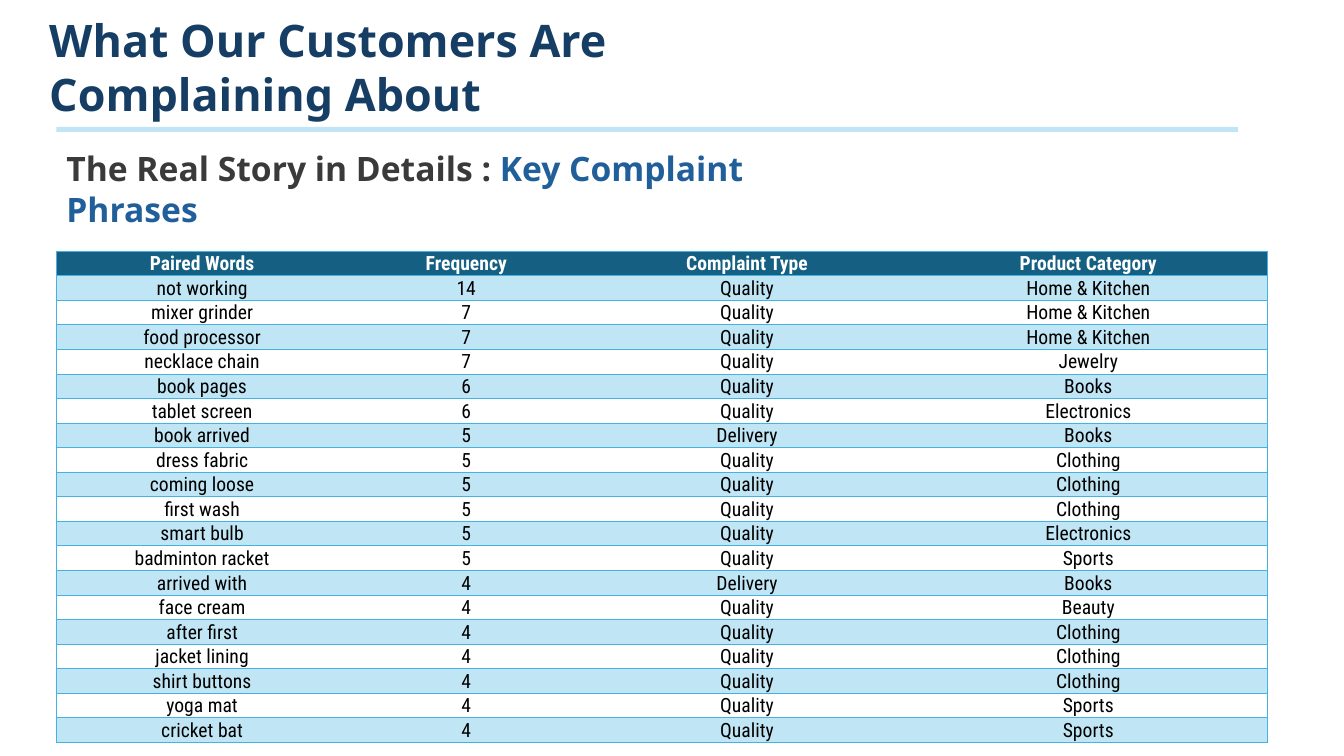
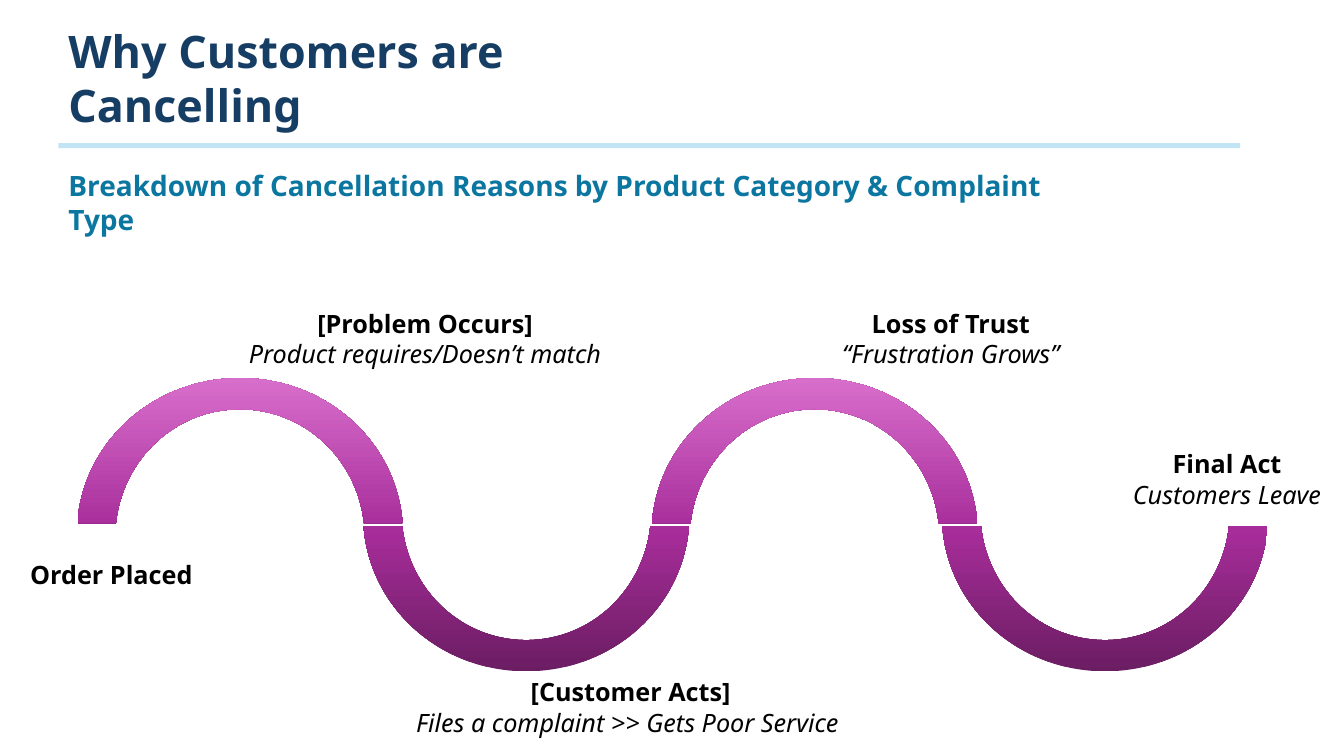
"""Build two slides on customer complaints and cancellations."""
from dataclasses import dataclass

from lxml.etree import SubElement
from pptx import Presentation
from pptx.dml.color import RGBColor
from pptx.enum.shapes import MSO_SHAPE
from pptx.enum.text import MSO_ANCHOR, MSO_AUTO_SIZE, PP_ALIGN
from pptx.oxml.ns import qn
from pptx.slide import Slide
from pptx.table import _Cell
from pptx.util import Inches, Pt

HEADING_FONT = "Noto Sans"
TABLE_FONT = "Roboto Condensed"
NAVY, CHARCOAL, BLUE, TEAL = "163E64", "3A3A3A", "215F9A", "0B76A0"
BLACK, WHITE, PALE_BLUE = "000000", "FFFFFF", "C1E5F5"
HEADER_FILL, STRIPE_FILL, GRID_LINE = "156082", "C0E6F5", "44B3E1"
WAVE_STOPS = ((0, "6B1D62"), (48, "A72D9A"), (100, "D86ECC"))
LINE_HEIGHTS = {32: 38.4, 24: 28.8, 20: 24.4, 18: 22}

COLUMN_WIDTHS = (2.89, 2.35, 3.22, 3.55)
ROW_HEIGHT, TABLE_HEIGHT = 0.21, 4.88
HEADER = ("Paired Words", "Frequency", "Complaint Type", "Product Category")
COMPLAINTS = (
    ("not working", "14", "Quality", "Home & Kitchen"),
    ("mixer grinder", "7", "Quality", "Home & Kitchen"),
    ("food processor", "7", "Quality", "Home & Kitchen"),
    ("necklace chain", "7", "Quality", "Jewelry"),
    ("book pages", "6", "Quality", "Books"),
    ("tablet screen", "6", "Quality", "Electronics"),
    ("book arrived", "5", "Delivery", "Books"),
    ("dress fabric", "5", "Quality", "Clothing"),
    ("coming loose", "5", "Quality", "Clothing"),
    ("first wash", "5", "Quality", "Clothing"),
    ("smart bulb", "5", "Quality", "Electronics"),
    ("badminton racket", "5", "Quality", "Sports"),
    ("arrived with", "4", "Delivery", "Books"),
    ("face cream", "4", "Quality", "Beauty"),
    ("after first", "4", "Quality", "Clothing"),
    ("jacket lining", "4", "Quality", "Clothing"),
    ("shirt buttons", "4", "Quality", "Clothing"),
    ("yoga mat", "4", "Quality", "Sports"),
    ("cricket bat", "4", "Quality", "Sports"),
)

Point = tuple[float, float]
HALF_ARCH = (
    (0, 0), (0.84, 0), (1.53, 0.61), (1.61, 1.4), (1.61, 1.44),
    (1.23, 1.44), (1.16, 0.8), (0.64, 0.31), (0, 0.31),
)
ARCH_SEGMENTS = "CLLCCLLC"


@dataclass(frozen=True)
class Span:
    """A stretch of text in one style."""
    text: str
    color: str = BLACK
    bold: bool = True
    italic: bool = False


@dataclass(frozen=True)
class Stage:
    """A label on the customer journey."""
    left: float
    top: float
    width: float
    heading: str
    detail: str = ""


@dataclass(frozen=True)
class Arch:
    """One half ring of the wave; direction is 1 for a crest, -1 for a trough."""
    center: float
    peak: float
    direction: int


STAGES = (
    Stage(0.2, 5.49, 3.02, "Order Placed"),
    Stage(2.17, 3, 4.09, "[Problem Occurs]", "Product requires/Doesn’t match"),
    Stage(3.99, 6.66, 4.53, "[Customer Acts]", "Files a complaint >> Gets Poor Service "),
    Stage(7.92, 3, 3.02, "Loss of Trust", "“Frustration Grows”"),
    Stage(10.66, 4.39, 3.02, "Final Act", "Customers Leave"),
)
ARCHES = (
    Arch(10.96, 6.66, -1),
    Arch(5.22, 6.66, -1),
    Arch(2.38, 3.75, 1),
    Arch(8.08, 3.75, 1),
)


def rgb(value: str) -> RGBColor:
    """Turn a hex string into a colour."""
    return RGBColor.from_string(value)


def add_text(page: Slide, left: float, top: float, width: float, height: float,
             size: int, lines: list[list[Span]],
             align: PP_ALIGN = PP_ALIGN.LEFT) -> None:
    """Add a wrapping text box with one paragraph per line of spans."""
    box = page.shapes.add_textbox(Inches(left), Inches(top), Inches(width), Inches(height))
    frame = box.text_frame
    frame.word_wrap = True
    frame.auto_size = MSO_AUTO_SIZE.SHAPE_TO_FIT_TEXT
    for index, spans in enumerate(lines):
        para = frame.add_paragraph() if index else frame.paragraphs[0]
        para.alignment = align
        para.line_spacing = Pt(LINE_HEIGHTS[size])
        for span in spans:
            run = para.add_run()
            run.text = span.text
            run.font.name = HEADING_FONT
            run.font.size = Pt(size)
            run.font.bold = span.bold
            run.font.italic = span.italic
            run.font.color.rgb = rgb(span.color)


def add_title(page: Slide, left: float, top: float, lines: list[str]) -> None:
    """Add the slide title."""
    add_text(page, left, top, 7.8, 1.18, 32, [[Span(line, NAVY)] for line in lines])


def add_rule(page: Slide, left: float, top: float) -> None:
    """Add the pale band under the title."""
    rule = page.shapes.add_shape(
        MSO_SHAPE.RECTANGLE, Inches(left), Inches(top), Inches(11.72), Inches(0.05))
    rule.shadow.inherit = False
    rule.fill.solid()
    rule.fill.fore_color.rgb = rgb(PALE_BLUE)
    rule.line.fill.background()


def set_borders(cell: _Cell, visible: set[str]) -> None:
    """Draw the named cell sides and clear the others."""
    properties = cell._tc.get_or_add_tcPr()
    for side in ("lnL", "lnR", "lnT", "lnB"):
        line = SubElement(properties, qn(f"a:{side}"), w=str(Pt(0.5)))
        if side in visible:
            fill = SubElement(line, qn("a:solidFill"))
            SubElement(fill, qn("a:srgbClr"), val=GRID_LINE)
        else:
            SubElement(line, qn("a:noFill"))


def fill_cell(cell: _Cell, text: str, row: int) -> None:
    """Write and style one table cell."""
    if row == 0 or row % 2:
        cell.fill.solid()
        cell.fill.fore_color.rgb = rgb(STRIPE_FILL if row else HEADER_FILL)
    else:
        cell.fill.background()
    cell.vertical_anchor = MSO_ANCHOR.BOTTOM
    cell.margin_left = cell.margin_right = cell.margin_top = Inches(0.01)
    cell.margin_bottom = Inches(0)
    para = cell.text_frame.paragraphs[0]
    para.text = text
    para.alignment = PP_ALIGN.CENTER
    font = para.runs[0].font
    font.name = TABLE_FONT
    font.size = Pt(14)
    font.bold = row == 0
    font.color.rgb = rgb(BLACK if row else WHITE)


def add_complaint_table(page: Slide) -> None:
    """Add the table of complaint phrases."""
    rows = (HEADER, *COMPLAINTS)
    holder = page.shapes.add_table(
        len(rows), len(HEADER), Inches(0.56), Inches(2.49),
        Inches(sum(COLUMN_WIDTHS)), Inches(TABLE_HEIGHT))
    table = holder.table
    table.first_row = table.horz_banding = False
    for column, width in zip(table.columns, COLUMN_WIDTHS):
        column.width = Inches(width)
    last = len(HEADER) - 1
    for row, values in enumerate(rows):
        table.rows[row].height = Inches(ROW_HEIGHT)
        for column, text in enumerate(values):
            cell = table.cell(row, column)
            sides = {"lnT", "lnB"} | {0: {"lnL"}, last: {"lnR"}}.get(column, set())
            set_borders(cell, sides)
            fill_cell(cell, text, row)
    holder.height = Inches(TABLE_HEIGHT)


def arch_outline(arch: Arch) -> list[Point]:
    """Return the control points of a half ring in slide lengths."""
    mirrored = tuple((-x, y) for x, y in reversed(HALF_ARCH[:-1]))
    return [(Inches(arch.center + x), Inches(arch.peak + arch.direction * y))
            for x, y in HALF_ARCH + mirrored]


def add_wave(page: Slide) -> None:
    """Add the wave as one curved outline, shaded from bottom to top."""
    outlines = [arch_outline(arch) for arch in ARCHES]
    builder = page.shapes.build_freeform(*outlines[0][0], scale=1.0)
    for index, outline in enumerate(outlines):
        if index:
            builder.move_to(*outline[0])
        builder.add_line_segments(outline[1:], close=True)
    wave = builder.convert_to_shape()
    steps = iter(list(wave._element.iter(qn("a:lnTo"))))
    for segment in ARCH_SEGMENTS * len(ARCHES):
        first = next(steps)
        if segment == "C":
            first.tag = qn("a:cubicBezTo")
            for _ in range(2):
                step = next(steps)
                first.append(step[0])
                step.getparent().remove(step)
    wave.shadow.inherit = False
    wave.line.fill.background()
    wave.fill.gradient()
    wave.fill.gradient_angle = 90
    stops = wave._element.spPr.find(qn("a:gradFill")).find(qn("a:gsLst"))
    for stop in list(stops):
        stops.remove(stop)
    for percent, color in WAVE_STOPS:
        stop = SubElement(stops, qn("a:gs"), pos=str(percent * 1000))
        SubElement(stop, qn("a:srgbClr"), val=color)


def add_stage(page: Slide, stage: Stage) -> None:
    """Add a stage heading and its detail, if any."""
    lines = [[Span(stage.heading)]]
    if stage.detail:
        lines.append([Span(stage.detail, bold=False, italic=True)])
    align = PP_ALIGN.CENTER if stage.detail else PP_ALIGN.LEFT
    height = 0.71 if stage.detail else 0.4
    add_text(page, stage.left, stage.top, stage.width, height, 18, lines, align)


def build_complaints(page: Slide) -> None:
    """Fill the slide of complaint phrases."""
    add_title(page, 0.39, 0.08, ["What Our Customers Are Complaining About"])
    add_rule(page, 0.56, 1.26)
    add_text(page, 0.56, 1.42, 7.8, 0.91, 24, [[
        Span("The Real Story in Details : ", CHARCOAL),
        Span("Key Complaint Phrases", BLUE)]])
    add_complaint_table(page)


def build_cancellations(page: Slide) -> None:
    """Fill the slide of the cancellation journey."""
    add_title(page, 0.58, 0.19, ["Why Customers are", "Cancelling"])
    add_text(page, 0.58, 1.62, 10.5, 0.44, 20, [[Span(
        "Breakdown of Cancellation Reasons by Product Category & Complaint Type", TEAL)]])
    add_rule(page, 0.58, 1.42)
    add_wave(page)
    for stage in STAGES:
        add_stage(page, stage)


def main() -> None:
    """Build and save the deck."""
    deck = Presentation()
    deck.slide_width = Inches(13.33)
    deck.slide_height = Inches(7.5)
    for build in (build_complaints, build_cancellations):
        build(deck.slides.add_slide(deck.slide_layouts[6]))
    deck.save("out.pptx")


if __name__ == "__main__":
    main()
